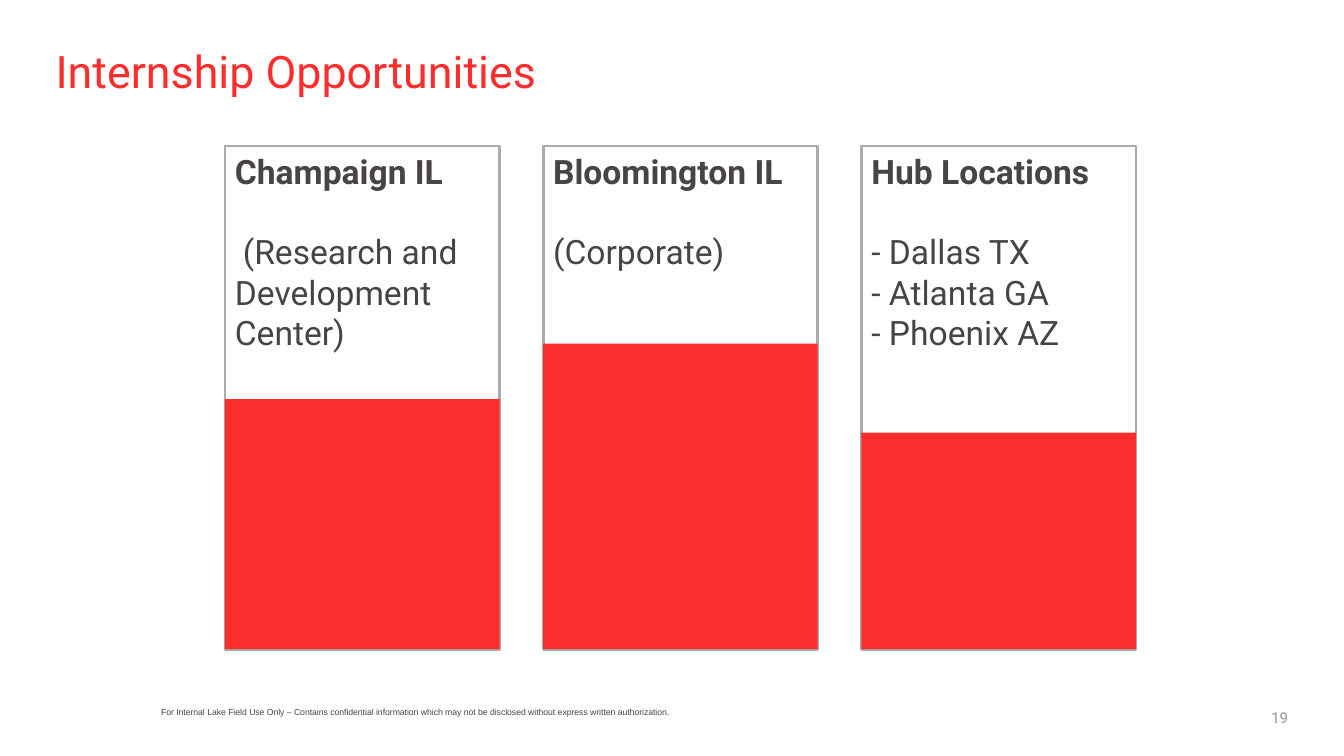
from pptx import Presentation
from pptx.dml.color import RGBColor
from pptx.enum.shapes import MSO_SHAPE
from pptx.enum.text import MSO_ANCHOR, PP_ALIGN
from pptx.util import Cm, Pt

TITLE = "Internship Opportunities"
NOTICE = ("For Internal Lake Field Use Only – Contains confidential information "
          "which may not be disclosed without express written authorization.")
PAGE = "19"
SITES = [
    {"name": "Champaign IL", "lines": ["(Research and Development Center)"],
     "indent": 0.2, "bar": 6.3},
    {"name": "Bloomington IL", "lines": ["(Corporate)"],
     "indent": 0, "bar": 7.7},
    {"name": "Hub Locations", "lines": ["- Dallas TX", "- Atlanta GA", "- Phoenix AZ"],
     "indent": 0, "bar": 5.46},
]
THEME = {
    "red": "FC2D2D", "ink": "484444", "edge": "ACABAB", "mute": "959494", "white": "FFFFFF",
    "face": "Roboto", "plain": "Arial",
    "head": 32, "body": 24, "small": 10.7,
}
LEFT, TOP, WIDE, HIGH, STEP = 5.67, 3.68, 6.92, 12.68, 8.02


def tint(name):
    return RGBColor.from_string(THEME[name])


def style(para, size, color, face="face", bold=False):
    font = para.font
    font.name = THEME[face]
    font.size = Pt(THEME[size])
    font.color.rgb = tint(color)
    font.bold = bold


def label(slide, area, text, size, color, face="face", anchor=MSO_ANCHOR.MIDDLE):
    frame = slide.shapes.add_textbox(*map(Cm, area)).text_frame
    frame.word_wrap = True
    frame.vertical_anchor = anchor
    frame.margin_left = frame.margin_right = frame.margin_top = frame.margin_bottom = 0
    para = frame.paragraphs[0]
    para.text = text
    style(para, size, color, face)
    return para


def block(slide, area, fill, line=None):
    shape = slide.shapes.add_shape(MSO_SHAPE.RECTANGLE, *map(Cm, area))
    shape.shadow.inherit = False
    shape.fill.solid()
    shape.fill.fore_color.rgb = tint(fill)
    if line:
        shape.line.color.rgb = tint(line)
        shape.line.width = Pt(2)
    else:
        shape.line.fill.background()
    return shape


def column(slide, left, site):
    frame = block(slide, (left, TOP, WIDE, HIGH), "white", "edge").text_frame
    frame.word_wrap = True
    frame.vertical_anchor = MSO_ANCHOR.TOP
    for i, text in enumerate([site["name"], *site["lines"]]):
        para = frame.add_paragraph() if i else frame.paragraphs[0]
        para.text = text
        para.alignment = PP_ALIGN.LEFT
        style(para, "body", "ink", bold=i == 0)
        if i == 1:
            para.space_before = Pt(28.5)
            if site["indent"]:
                para._p.get_or_add_pPr().set("indent", str(Cm(site["indent"])))
    bar = site["bar"]
    block(slide, (left, TOP + HIGH - bar, WIDE, bar), "red")


def main():
    deck = Presentation()
    deck.slide_width, deck.slide_height = Cm(33.87), Cm(19.05)
    slide = deck.slides.add_slide(deck.slide_layouts[6])
    note = label(slide, (4.06, 17.65, 13.87, 0.69), NOTICE, "small", "ink", "plain")
    note.runs[0]._r.get_or_add_rPr().set("baseline", "30000")
    label(slide, (1.4, 1.09, 31.06, 1.4), TITLE, "head", "red", anchor=MSO_ANCHOR.TOP)
    page = label(slide, (31.04, 17.65, 1.42, 0.84), PAGE, "small", "mute")
    page.alignment = PP_ALIGN.RIGHT
    for i, site in enumerate(SITES):
        column(slide, LEFT + i * STEP, site)
    deck.save("out.pptx")


if __name__ == "__main__":
    main()
